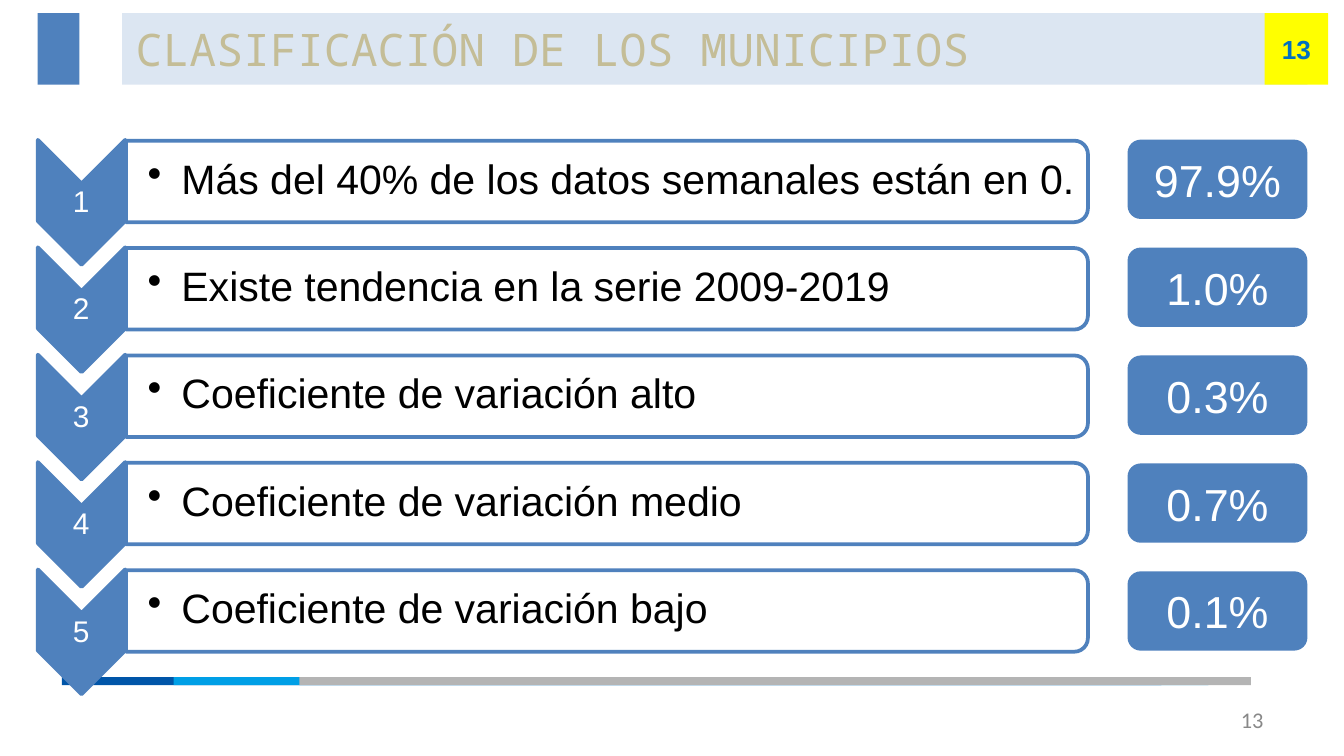
from lxml import etree
from pptx import Presentation
from pptx.dml.color import RGBColor
from pptx.enum.shapes import MSO_SHAPE
from pptx.enum.text import MSO_ANCHOR, MSO_AUTO_SIZE, PP_ALIGN
from pptx.oxml.ns import qn
from pptx.util import Cm, Pt

RECT = MSO_SHAPE.RECTANGLE
PILL = MSO_SHAPE.ROUNDED_RECTANGLE
CHEVRON = MSO_SHAPE.CHEVRON
ROUND_TOP = MSO_SHAPE.ROUND_2_SAME_RECTANGLE
MIDDLE = MSO_ANCHOR.MIDDLE
NO_FIT = MSO_AUTO_SIZE.NONE
LEFT, CENTER, RIGHT = PP_ALIGN.LEFT, PP_ALIGN.CENTER, PP_ALIGN.RIGHT

BLUE = RGBColor(0x4F, 0x81, 0xBD)
PALE_BLUE = RGBColor(0xDC, 0xE6, 0xF2)
TAN = RGBColor(0xC4, 0xBD, 0x97)
YELLOW = RGBColor(0xFF, 0xFF, 0x00)
NUMBER_BLUE = RGBColor(0x00, 0x70, 0xC0)
DARK_BLUE = RGBColor(0x00, 0x55, 0xA8)
SKY = RGBColor(0x00, 0x9F, 0xE6)
GRAY = RGBColor(0xB4, 0xB4, 0xB4)
TEXT_GRAY = RGBColor(0x88, 0x88, 0x88)
WHITE = RGBColor(0xFF, 0xFF, 0xFF)
BLACK = RGBColor(0x00, 0x00, 0x00)

STRIPS = [(1.17, 20.78, DARK_BLUE), (3.28, 19.56, SKY), (5.66, 17.98, GRAY)]
CLASSES = [
    ("Más del 40% de los datos semanales están en 0.", "97.9%"),
    ("Existe tendencia en la serie 2009-2019", "1.0%"),
    ("Coeficiente de variación alto", "0.3%"),
    ("Coeficiente de variación medio", "0.7%"),
    ("Coeficiente de variación bajo", "0.1%"),
]
ROW_STEP = 2.03
PILL_STEP = 2.04


class Deck:
    font = "Arial"

    def __init__(self, prs):
        self.slide = prs.slides.add_slide(prs.slide_layouts[5])

    def set_text(self, tf, text, size, color, align, bold=False, font=None):
        tf.text = text
        tf.word_wrap = True
        tf.auto_size = NO_FIT
        tf.vertical_anchor = MIDDLE
        p = tf.paragraphs[0]
        p.alignment = align
        r = p.runs[0]
        r.font.name = font or self.font
        r.font.size = Pt(size)
        r.font.bold = bold
        r.font.color.rgb = color
        return p

    def title(self, text, x, y, w, h):
        sp = self.slide.shapes.title
        sp.left, sp.top, sp.width, sp.height = Cm(x), Cm(y), Cm(w), Cm(h)
        sp.fill.solid()
        sp.fill.fore_color.rgb = PALE_BLUE
        self.set_text(sp.text_frame, text, 24, TAN, LEFT, font="Noto Sans Mono")

    def shape(self, kind, x, y, w, h, fill, line=None, rotation=0):
        sp = self.slide.shapes.add_shape(kind, Cm(x), Cm(y), Cm(w), Cm(h))
        sp.shadow.inherit = False
        sp.rotation = rotation
        sp.fill.solid()
        sp.fill.fore_color.rgb = fill
        if line is None:
            sp.line.fill.background()
        else:
            sp.line.color.rgb = line
            sp.line.width = Pt(2)
        return sp

    def label(self, text, x, y, w, h, size, color, align, margins, font=None):
        sp = self.slide.shapes.add_textbox(Cm(x), Cm(y), Cm(w), Cm(h))
        tf = sp.text_frame
        tf.margin_left = Cm(margins[0])
        tf.margin_right = Cm(margins[1])
        tf.margin_top = tf.margin_bottom = Cm(0.04)
        return self.set_text(tf, text, size, color, align, font=font)

    def bullet(self, text, x, y, w, h):
        p = self.label(text, x, y, w, h, 22, BLACK, LEFT, (0.43, 0.04))
        p.line_spacing = 0.9
        pPr = p._p.get_or_add_pPr()
        pPr.set("marL", str(Cm(0.64)))
        pPr.set("indent", str(-Cm(0.64)))
        etree.SubElement(pPr, qn("a:buChar")).set("char", "•")

    def step(self, number, text, y):
        self.shape(CHEVRON, 0.36, y + 0.36, 2.36, 1.65, BLUE, BLUE, 90)
        p = self.label(str(number), 0.71, y + 0.84, 1.65, 0.71, 16, WHITE, CENTER, (0.03, 0.03))
        p.line_spacing = 0.9
        bar = self.shape(ROUND_TOP, 10.7, y - 8.3, 1.54, 18.18, WHITE, BLUE, 90)
        color = bar._element.spPr.find(qn("a:solidFill"))[0]
        etree.SubElement(color, qn("a:alpha")).set("val", "90000")
        self.bullet(text, 2.36, y + 0.08, 18.11, 1.4)

    def pill(self, text, y):
        sp = self.shape(PILL, 21.31, y, 3.4, 1.5, BLUE)
        self.set_text(sp.text_frame, text, 24, WHITE, CENTER)


def main():
    prs = Presentation()
    prs.slide_width, prs.slide_height = Cm(25.4), Cm(14.29)
    deck = Deck(prs)

    deck.label("13", 18.21, 13.23, 5.92, 0.76, 12, TEXT_GRAY, RIGHT, (0.25, 0.25), "Calibri")
    for x, w, color in STRIPS:
        deck.shape(RECT, x, 12.8, w, 0.15, color)

    deck.title("CLASIFICACIÓN DE LOS MUNICIPIOS", 2.31, 0.25, 22.4, 1.35)
    deck.shape(RECT, 0.71, 0.25, 0.79, 1.35, BLUE)
    page = deck.shape(RECT, 23.9, 0.25, 1.2, 1.35, YELLOW)
    page.text_frame.margin_left = page.text_frame.margin_right = 0
    deck.set_text(page.text_frame, "13", 14, NUMBER_BLUE, CENTER, bold=True)

    for i, (text, share) in enumerate(CLASSES):
        deck.step(i + 1, text, 2.64 + i * ROW_STEP)
        deck.pill(share, 2.64 + i * PILL_STEP)

    prs.save("out.pptx")


if __name__ == "__main__":
    main()
